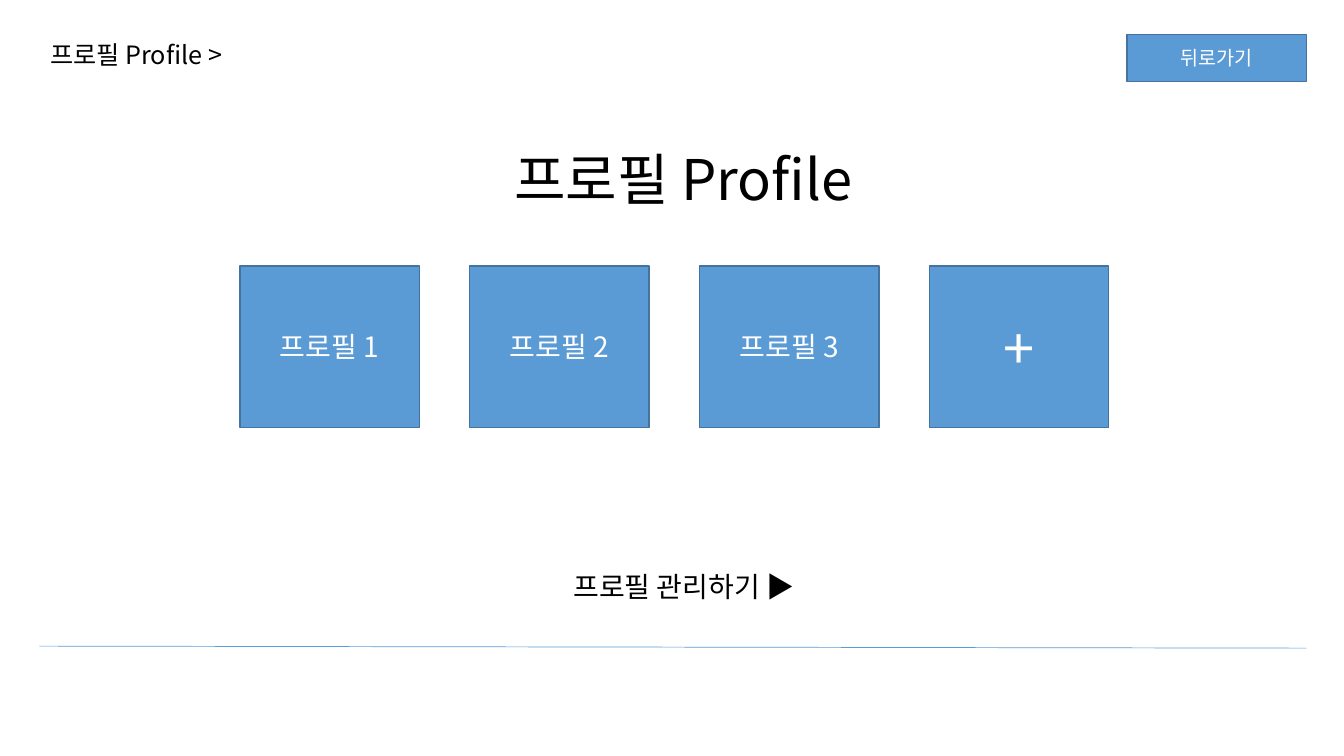
from lxml.etree import SubElement
from pptx import Presentation
from pptx.dml.color import RGBColor
from pptx.enum.shapes import MSO_CONNECTOR as Connector, MSO_SHAPE as Shape
from pptx.enum.text import MSO_ANCHOR as Anchor, MSO_AUTO_SIZE as AutoSize, PP_ALIGN as Align
from pptx.oxml.ns import qn
from pptx.util import Inches, Pt

COLUMN = ROW = Inches(0.1)
COLUMNS, ROWS = 133.33, 75
FONT = "Noto Sans CJK KR"
COLORS = {"blue": "5B9BD5", "outline": "43739E", "black": "000000", "white": "FFFFFF"}

RIGHT_EDGE = 129.6
BUTTON_WIDTH = 17.8
CARD_LEFT, CARD_TOP, CARD_HEIGHT = 23.8, 26.4, 16
CARD_STEP = BUTTON_WIDTH + 5
CARDS = [("프로필 1", 20), ("프로필 2", 20), ("프로필 3", 20), ("+", 40)]


def color(name):
    return RGBColor.from_string(COLORS[name])


def place(left, top, width, height):
    return [round(left * COLUMN), round(top * ROW), round(width * COLUMN), round(height * ROW)]


def apply_format(target, values):
    for name, value in values.items():
        setattr(target, name, value)


def write(shape, text, size, ink, frame_format, paragraph_format):
    frame = shape.text_frame
    apply_format(frame, {"word_wrap": True, **frame_format})
    paragraph = frame.paragraphs[0]
    apply_format(paragraph, paragraph_format)
    run = paragraph.add_run()
    run.text = text
    apply_format(run.font, {"name": FONT, "size": Pt(size)})
    run.font.color.rgb = color(ink)
    SubElement(run.font._element, qn("a:ea"), typeface=FONT)


def add_label(slide, area, text, size, frame_format, paragraph_format):
    box = slide.shapes.add_textbox(*place(*area))
    write(box, text, size, "black", frame_format, paragraph_format)


def add_button(slide, area, text, size):
    button = slide.shapes.add_shape(Shape.RECTANGLE, *place(*area))
    button.shadow.inherit = False
    button.fill.solid()
    button.fill.fore_color.rgb = color("blue")
    button.line.color.rgb = color("outline")
    button.line.width = Pt(1)
    write(button, text, size, "white",
          {"vertical_anchor": Anchor.MIDDLE}, {"alignment": Align.CENTER})


def add_rule(slide, start, end):
    points = [round(value * unit) for point in (start, end) for value, unit in zip(point, (COLUMN, ROW))]
    rule = slide.shapes.add_connector(Connector.STRAIGHT, *points)
    rule.line.color.rgb = color("blue")
    rule.line.width = Pt(0.5)
    SubElement(rule._element.spPr, qn("a:effectLst"))


def main():
    presentation = Presentation()
    presentation.slide_width = round(COLUMNS * COLUMN)
    presentation.slide_height = ROWS * ROW
    slide = presentation.slides.add_slide(presentation.slide_layouts[6])

    growing = {"auto_size": AutoSize.SHAPE_TO_FIT_TEXT}
    centered = {"alignment": Align.CENTER, "line_spacing": 1.5}
    add_label(slide, (4, 3.4, 91.9, 4), "프로필 Profile >", 18, growing, {})
    add_label(slide, (16.2, 10.5, 103.2, 10.3), "프로필 Profile", 40, growing, centered)
    add_rule(slide, (3.9, 64.1), (RIGHT_EDGE, 64.3))
    add_button(slide, (RIGHT_EDGE - BUTTON_WIDTH, 3.4, BUTTON_WIDTH, 4.7), "뒤로가기", 14)
    for index, (text, size) in enumerate(CARDS):
        left = CARD_LEFT + index * CARD_STEP
        add_button(slide, (left, CARD_TOP, BUTTON_WIDTH, CARD_HEIGHT), text, size)
    add_label(slide, (36.1, 51.8, 63.5, 11.1), "프로필 관리하기 ▶", 20,
              {"vertical_anchor": Anchor.MIDDLE}, centered)

    presentation.save("out.pptx")


if __name__ == "__main__":
    main()
